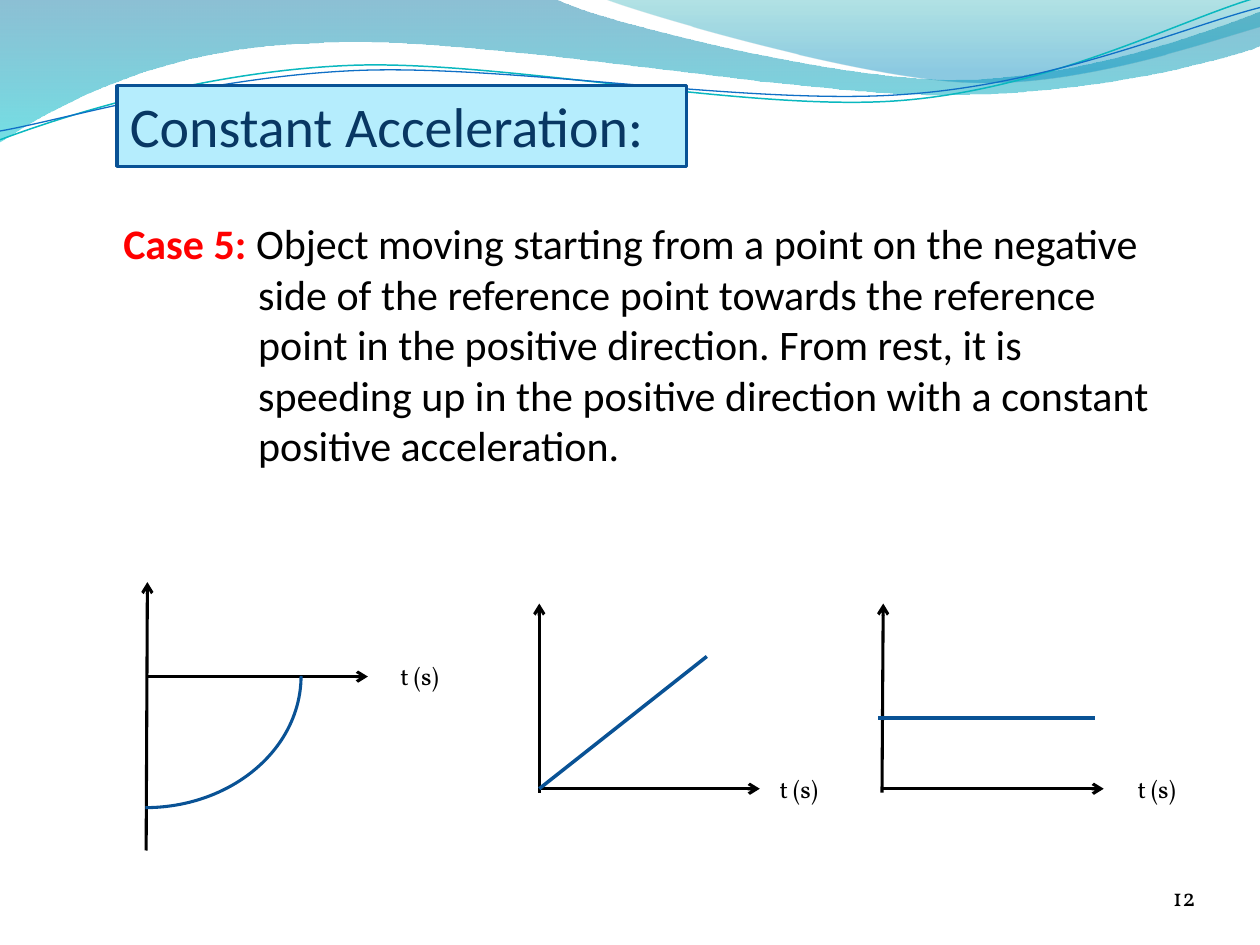
from lxml.etree import SubElement
from pptx import Presentation
from pptx.dml.color import RGBColor
from pptx.enum.shapes import MSO_CONNECTOR as Connector, MSO_SHAPE as Shape
from pptx.enum.text import MSO_ANCHOR as Anchor, MSO_AUTO_SIZE as AutoSize, PP_ALIGN as Align
from pptx.oxml.ns import qn
from pptx.util import Inches, Pt

BLACK = RGBColor(0x00, 0x00, 0x00)
RED = RGBColor(0xFF, 0x00, 0x00)
NAVY = RGBColor(0x08, 0x37, 0x63)
BLUE = RGBColor(0x09, 0x52, 0x95)
PALE_BLUE = RGBColor(0xB5, 0xED, 0xFD)
TEAL_LINE = RGBColor(0x0A, 0xB8, 0xBF)
BLUE_LINE = RGBColor(0x0F, 0x6F, 0xC6)
DEEP_BLUE = RGBColor(0x00, 0x74, 0xA1)
CYAN = RGBColor(0x00, 0xC6, 0xCF)
TEAL = RGBColor(0x00, 0xA1, 0xA9)
SKY_BLUE = RGBColor(0x00, 0x8B, 0xBF)

LABEL = {"name": "Vollkorn", "size": Pt(14)}
BODY = {"name": "Calibri", "size": Pt(24)}
HEADING = {"name": "Calibri", "size": Pt(32)}

BANDS = [
    ((0, 0),
     [[(4.4, -0.01)],
      [(4.76, 0.17), (6.64, 0.63), (7.58, 0.63)],
      [(8.53, 0.63), (9.58, 0.26), (10, 0.09)],
      [(10.01, 0.36)],
      [(9.83, 0.44), (8.7, 0.76), (7.46, 0.75)],
      [(6.22, 0.75), (3.82, 0.28), (2.57, 0.34)],
      [(1.29, 0.36), (0.46, 0.83), (-0.01, 1.13)],
      [(0, 0)]],
     [(0, DEEP_BLUE, 45), (1, CYAN, 55)]),
    ((4.79, -0.01),
     [[(5.09, 0.11), (6.82, 0.62), (7.69, 0.65)],
      [(8.56, 0.69), (9.61, 0.32), (10, 0.21)],
      [(10, 0)],
      [(4.79, -0.01)]],
     [(0, TEAL, 30), (0.8, SKY_BLUE, 45)]),
]
WAVES = [
    ((0, 1.11),
     [[(0.48, 0.93), (1.58, 0.57), (2.77, 0.52)],
      [(3.95, 0.47), (5.93, 0.89), (7.13, 0.8)],
      [(8.33, 0.71), (9.38, 0.15), (9.98, -0.02)]],
     TEAL_LINE, 0.85),
    ((0, 1.04),
     [[(0.47, 0.96), (1.64, 0.61), (2.83, 0.56)],
      [(4.03, 0.51), (5.97, 0.84), (7.17, 0.75)],
      [(8.36, 0.67), (9.41, 0.21), (10, 0.06)]],
     BLUE_LINE, 0.75),
]
GRAPHS = [
    {"origin": (1.17, 5.37), "vertical": ((1.16, 6.75), (1.17, 4.62)), "label": (3.08, 5.2)},
    {"origin": (4.28, 6.26), "vertical": ((4.28, 6.29), (4.28, 4.79)), "label": (6.09, 6.09)},
    {"origin": (7.01, 6.26), "vertical": ((7, 6.29), (7.01, 4.79)), "label": (8.93, 6.09)},
]
AXIS_LENGTH = 1.75
PLOT_LINES = [((4.28, 6.26), (5.61, 5.21)), ((6.97, 5.7), (8.69, 5.7))]
CASE_TEXT = (
    "Object moving starting from a point on the negative side of the reference point "
    "towards the reference point in the positive direction. From rest, it is speeding up "
    "in the positive direction with a constant positive acceleration."
)


def bend_segments(shape, segments):
    steps = iter(list(shape._element.spPr.iter(qn("a:lnTo"))))
    for segment in segments:
        lines = [next(steps) for _ in segment]
        if len(lines) == 3:
            curve = SubElement(lines[0].getparent(), qn("a:cubicBezTo"))
            lines[0].addprevious(curve)
            for line in lines:
                curve.append(line[0])
                line.getparent().remove(line)


def add_outline(slide, start, segments, close):
    points = [start] + [point for segment in segments for point in segment]
    corners = [(Inches(x), Inches(y)) for x, y in points]
    builder = slide.shapes.build_freeform(*corners[0])
    builder.add_line_segments(corners[1:], close=close)
    shape = builder.convert_to_shape()
    bend_segments(shape, segments)
    shape.shadow.inherit = False
    return shape


def set_line(line, color, width):
    line.color.rgb = color
    line.width = Pt(width)


def add_band(slide, start, segments, stops):
    shape = add_outline(slide, start, segments, True)
    shape.line.fill.background()
    shape.fill.gradient()
    shape.fill.gradient_angle = 270
    for stop, (position, color, _) in zip(shape.fill.gradient_stops, stops):
        stop.position = position
        stop.color.rgb = color
    for element, (_, _, opacity) in zip(shape._element.spPr.iter(qn("a:srgbClr")), stops):
        SubElement(element, qn("a:alpha")).set("val", str(opacity * 1000))


def add_wave(slide, start, segments, color, width):
    shape = add_outline(slide, start, segments, False)
    shape.fill.background()
    set_line(shape.line, color, width)


def add_line(slide, start, end, color, width, arrow=False):
    connector = slide.shapes.add_connector(
        Connector.STRAIGHT, *(Inches(value) for value in (*start, *end)))
    set_line(connector.line, color, width)
    if arrow:
        SubElement(connector.line._get_or_add_ln(), qn("a:tailEnd")).set("type", "arrow")
    SubElement(connector._element.spPr, qn("a:effectLst"))


def add_run(paragraph, text, formats, color, bold=False):
    run = paragraph.add_run()
    run.text = text
    for name, value in {**formats, "bold": bold}.items():
        setattr(run.font, name, value)
    run.font.color.rgb = color


def add_text_box(slide, left, top, width, height):
    box = slide.shapes.add_textbox(*(Inches(value) for value in (left, top, width, height)))
    box.text_frame.word_wrap = True
    return box.text_frame


def add_graph(slide, origin, vertical, label):
    x, y = origin
    add_line(slide, origin, (x + AXIS_LENGTH, y), BLACK, 1.75, arrow=True)
    add_line(slide, *vertical, BLACK, 1.75, arrow=True)
    frame = add_text_box(slide, *label, 0.67, 0.34)
    add_run(frame.paragraphs[0], "t (s)", LABEL, BLACK)


def add_arc(slide):
    arc = slide.shapes.add_shape(Shape.ARC, Inches(-0.08), Inches(4.32), Inches(2.47), Inches(2.09))
    arc.shadow.inherit = False
    arc.fill.background()
    set_line(arc.line, BLUE, 1.75)
    arc.rotation = 180
    arc._element.spPr.xfrm.set("flipH", "1")


def add_slide_number(slide):
    frame = add_text_box(slide, 8.66, 6.83, 0.83, 0.4)
    margins = dict.fromkeys(("margin_left", "margin_top", "margin_right", "margin_bottom"), 0)
    for name, value in {**margins, "vertical_anchor": Anchor.BOTTOM}.items():
        setattr(frame, name, value)
    frame.paragraphs[0].alignment = Align.RIGHT
    add_run(frame.paragraphs[0], "12", LABEL, BLACK)


def format_title(slide):
    title = slide.shapes.title
    place = {"left": Inches(0.93), "top": Inches(0.68), "width": Inches(4.52), "height": Inches(0.64)}
    for name, value in place.items():
        setattr(title, name, value)
    title.fill.solid()
    title.fill.fore_color.rgb = PALE_BLUE
    set_line(title.line, BLUE, 2)
    frame = title.text_frame
    for name, value in {"auto_size": AutoSize.NONE, "vertical_anchor": Anchor.TOP}.items():
        setattr(frame, name, value)
    frame.paragraphs[0].alignment = Align.LEFT
    add_run(frame.paragraphs[0], "Constant Acceleration:", HEADING, NAVY)
    slide.shapes._spTree.append(title._element)


def add_case(slide):
    paragraph = add_text_box(slide, 0.88, 1.68, 8.45, 2.12).paragraphs[0]
    properties = paragraph._p.get_or_add_pPr()
    for name, value in {"marL": Inches(1.07), "indent": Inches(-1.07)}.items():
        properties.set(name, str(value))
    add_run(paragraph, "Case 5: ", BODY, RED, bold=True)
    add_run(paragraph, CASE_TEXT, BODY, BLACK)


def main():
    presentation = Presentation()
    presentation.slide_width = Inches(10)
    presentation.slide_height = Inches(7.5)
    slide = presentation.slides.add_slide(presentation.slide_layouts[5])
    for band in BANDS:
        add_band(slide, *band)
    for wave in WAVES:
        add_wave(slide, *wave)
    add_slide_number(slide)
    for graph in GRAPHS:
        add_graph(slide, **graph)
    add_arc(slide)
    for start, end in PLOT_LINES:
        add_line(slide, start, end, BLUE, 2)
    format_title(slide)
    add_case(slide)
    presentation.save("out.pptx")


if __name__ == "__main__":
    main()
